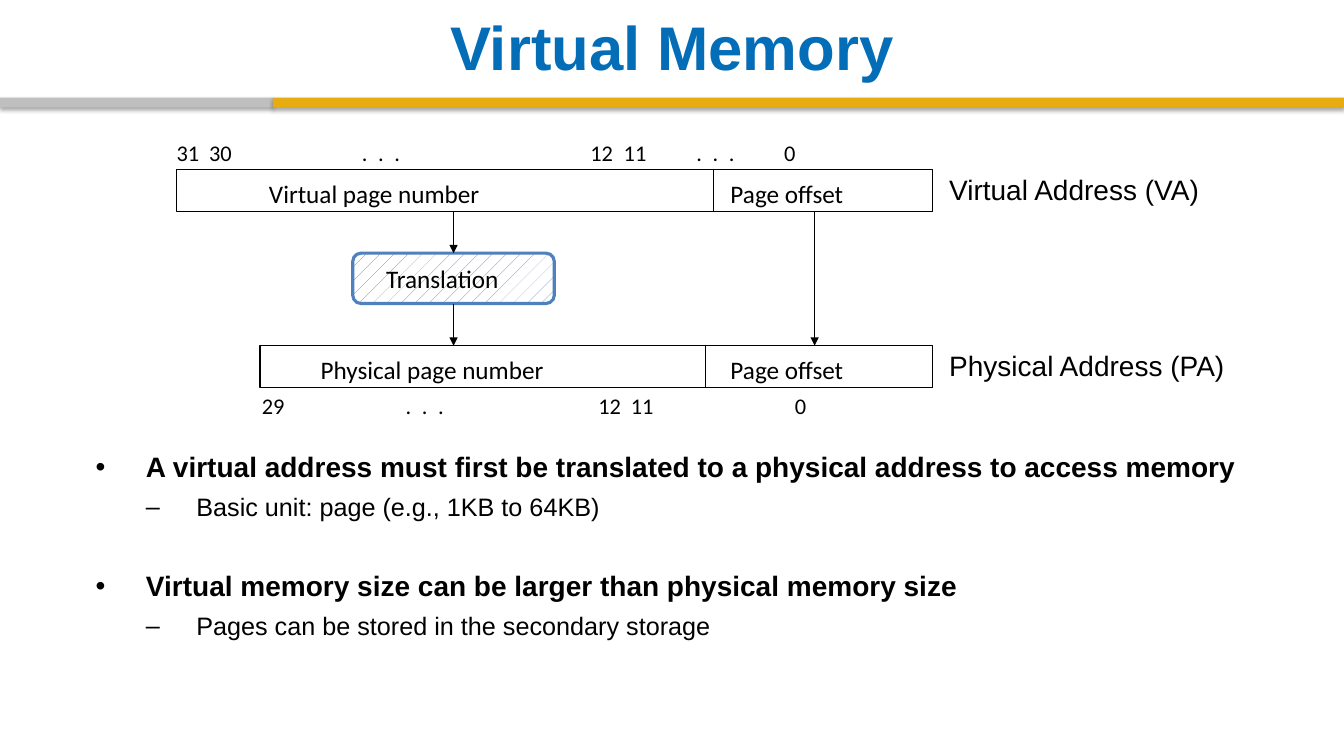
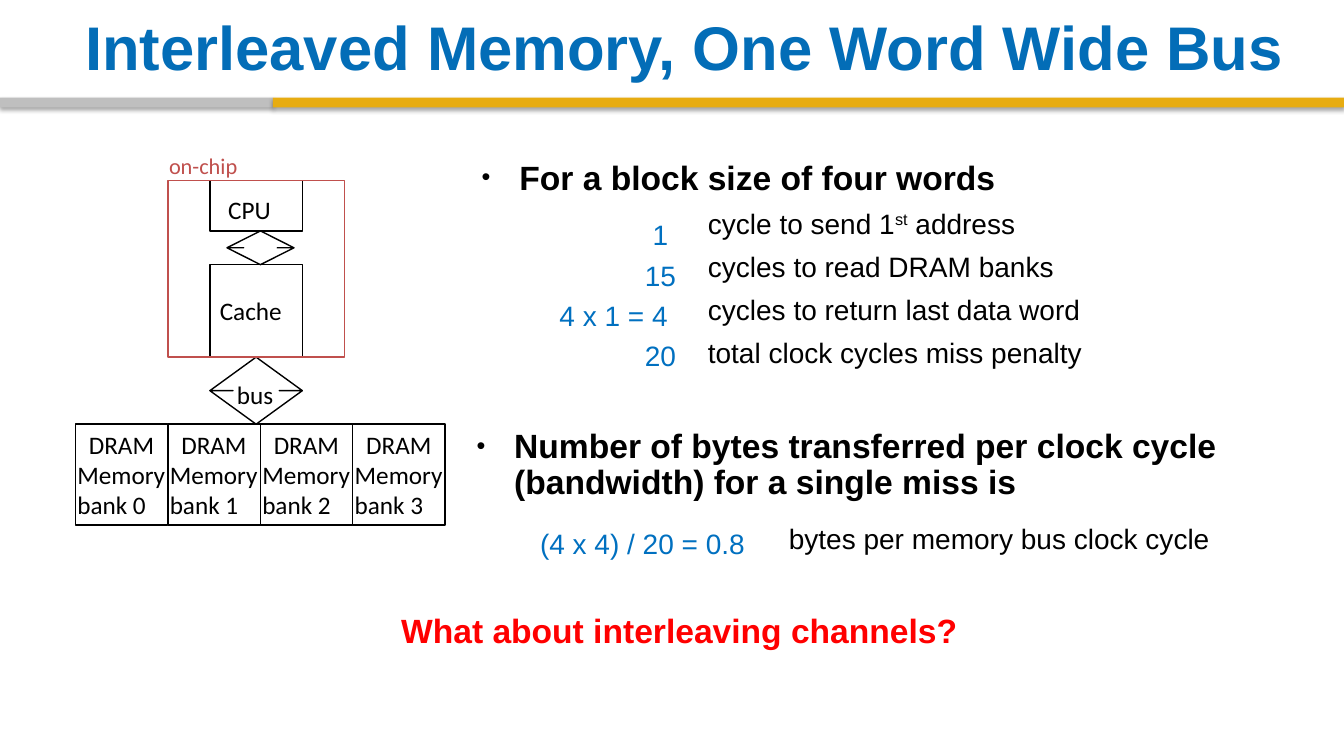
"""Build two lecture slides on virtual memory and interleaved memory."""
from lxml import etree
from pptx import Presentation
from pptx.dml.color import RGBColor
from pptx.enum.dml import MSO_PATTERN
from pptx.enum.shapes import MSO_CONNECTOR, MSO_SHAPE
from pptx.enum.text import MSO_ANCHOR, PP_ALIGN
from pptx.oxml.ns import qn
from pptx.util import Cm, Pt

RECTANGLE = MSO_SHAPE.RECTANGLE
ROUNDED = MSO_SHAPE.FLOWCHART_ALTERNATE_PROCESS
DOUBLE_ARROW = MSO_SHAPE.UP_DOWN_ARROW
STRAIGHT = MSO_CONNECTOR.STRAIGHT
DOTTED = MSO_PATTERN.PERCENT_5
MIDDLE = MSO_ANCHOR.MIDDLE
LEFT, CENTER = PP_ALIGN.LEFT, PP_ALIGN.CENTER

COLORS = {
    "title": "036DB7",
    "gold": "E7AC11",
    "grey": "BFBFBF",
    "text": "000000",
    "number": "0070C0",
    "question": "FF0000",
    "chip": "C0504D",
    "box": "4F81BD",
    "paper": "FFFFFF",
}


def color(name):
    return RGBColor.from_string(COLORS[name])


def add_xml(parent, tag, **attributes):
    return etree.SubElement(parent, qn(tag), attributes)


def style(para, size, name="text", font="Arial", bold=False):
    for span in para.runs:
        span.font.size = Pt(size)
        span.font.name = font
        span.font.bold = bold
        span.font.color.rgb = color(name)


def indent(para, left, hanging=0.0, bullet=None, percent=100):
    properties = para._p.get_or_add_pPr()
    properties.set("marL", str(Cm(left)))
    properties.set("indent", str(Cm(-hanging)))
    if bullet:
        bullet_color = add_xml(properties, "a:buClr")
        add_xml(bullet_color, "a:srgbClr", val=COLORS["text"])
        add_xml(properties, "a:buSzPct", val=str(percent * 1000))
        add_xml(properties, "a:buFont", typeface="Arial")
        add_xml(properties, "a:buChar", char=bullet)


def space(para, before=0.0, lines=1.0):
    para.space_before = Pt(before)
    para.line_spacing = lines


def set_insets(frame, left, top, right=0.0, bottom=0.0):
    frame.margin_left, frame.margin_top = Cm(left), Cm(top)
    frame.margin_right, frame.margin_bottom = Cm(right), Cm(bottom)


def add_text(page, left, top, width, height, text):
    box = page.shapes.add_textbox(Cm(left), Cm(top), Cm(width), Cm(height))
    frame = box.text_frame
    frame.word_wrap = True
    set_insets(frame, 0, 0)
    frame.text = text
    return frame


def add_label(page, left, top, width, text, size, name="text", font="Calibri", bold=False):
    frame = add_text(page, left, top, width, 1, text)
    style(frame.paragraphs[0], size, name, font, bold)
    return frame


def add_block(page, left, top, width, height, kind=RECTANGLE, line="text", weight=1):
    box = page.shapes.add_shape(kind, Cm(left), Cm(top), Cm(width), Cm(height))
    box.shadow.inherit = False
    box.fill.background()
    box.line.color.rgb = color(line)
    box.line.width = Pt(weight)
    return box


def write_in_block(box, text, left, top=0.0):
    frame = box.text_frame
    frame.word_wrap = True
    frame.vertical_anchor = MIDDLE
    set_insets(frame, left, top)
    frame.text = text
    for para in frame.paragraphs:
        para.alignment = LEFT
        style(para, 18, font="Calibri")


def add_line(page, left, top, bottom, arrow=False):
    line = page.shapes.add_connector(STRAIGHT, Cm(left), Cm(top), Cm(left), Cm(bottom))
    line.line.color.rgb = color("text")
    line.line.width = Pt(1)
    if arrow:
        add_xml(line.line._get_or_add_ln(), "a:tailEnd", type="triangle")
    add_xml(line._element.spPr, "a:effectLst")
    return line


def add_band(page, left, width, name):
    band = add_block(page, left, 2.46, width, 0.25)
    band.fill.solid()
    band.fill.fore_color.rgb = color(name)
    band.line.fill.background()
    effects = band._element.spPr.find(qn("a:effectLst"))
    shadow = add_xml(effects, "a:outerShdw", blurRad=str(Pt(3.1)),
                     dist=str(Pt(1.8)), dir="5400000", rotWithShape="0")
    shade = add_xml(shadow, "a:srgbClr", val=COLORS["text"])
    add_xml(shade, "a:alpha", val="35000")


def add_page(deck, title, width):
    page = deck.slides.add_slide(deck.slide_layouts[6])
    add_band(page, 0, 6.88, "grey")
    add_band(page, 6.88, 26.99, "gold")
    frame = add_text(page, 1.7, 0.2, width, 1.93, title)
    frame.vertical_anchor = MIDDLE
    frame.paragraphs[0].alignment = CENTER
    style(frame.paragraphs[0], 44, "title", bold=True)
    return page


def add_address(page, left, top, divider, number, number_left, caption):
    add_block(page, left, top, 23.5 - left, 1.06)
    add_line(page, divider, top, top + 1.06)
    add_label(page, number_left, top + 0.23, 7, number, 18)
    add_label(page, 18.41, top + 0.23, 4, "Page offset", 18)
    add_label(page, 23.92, top + 0.08, 8, caption, 20, font="Arial")


def dots(left):
    return [(".", left + 0.41 * step) for step in range(3)]


def add_bit_numbers(page, top, marks):
    start = marks[0][1]
    text = "\t".join(mark for mark, _ in marks)
    frame = add_text(page, start, top, 17, 0.7, text)
    para = frame.paragraphs[0]
    tabs = add_xml(para._p.get_or_add_pPr(), "a:tabLst")
    for _, left in marks[1:]:
        add_xml(tabs, "a:tab", pos=str(Cm(left - start)), algn="l")
    style(para, 16, font="Calibri")


def build_virtual_memory(deck):
    page = add_page(deck, "Virtual Memory", 30.48)
    add_address(page, 4.45, 4.27, 17.98, "Virtual page number", 6.78, "Virtual Address (VA)")
    add_address(page, 6.55, 8.71, 17.78, "Physical page number", 8.08, "Physical Address (PA)")
    add_bit_numbers(page, 3.51, [("31", 4.45), ("30", 5.27), *dots(9.12), ("12", 14.88),
                                 ("11", 15.72), *dots(17.55), ("0", 19.76)])
    add_bit_numbers(page, 9.88, [("29", 6.6), *dots(10.22), ("12", 15.08),
                                 ("11", 15.9), ("0", 20.03)])

    translation = add_block(page, 8.89, 6.38, 5.08, 1.27, ROUNDED, "box", 2.25)
    translation.fill.patterned()
    translation.fill.pattern = DOTTED
    translation.fill.fore_color.rgb = color("box")
    translation.fill.back_color.rgb = color("paper")
    write_in_block(translation, "Translation", 0.78)
    add_line(page, 11.43, 5.33, 6.38, arrow=True).end_connect(translation, 0)
    add_line(page, 11.43, 7.65, 8.71, arrow=True).begin_connect(translation, 2)
    add_line(page, 20.53, 5.33, 8.71, arrow=True)

    points = [
        ("A virtual address must first be translated to a physical address to access memory", 0, 0),
        ("Basic unit: page (e.g., 1KB to 64KB)", 1, 6),
        ("Virtual memory size can be larger than physical memory size", 0, 33.5),
        ("Pages can be stored in the secondary storage", 1, 6),
    ]
    frame = add_text(page, 2.41, 11.33, 29.97, 6, "\n".join(point[0] for point in points))
    for para, (_, level, before) in zip(frame.paragraphs, points):
        para.level = level
        indent(para, 1.27 * (level + 1), 1.27, "•–"[level])
        space(para, before)
        style(para, 20 - 2 * level, bold=level == 0)


def add_double_arrow(page, left, top, width, height):
    arrow = add_block(page, left, top, width, height, DOUBLE_ARROW)
    arrow.adjustments[0], arrow.adjustments[1] = 0.2, 0.5


def add_memory_diagram(page):
    write_in_block(add_block(page, 5.29, 4.55, 2.33, 1.27), "CPU", 0.46, 0.2)
    add_double_arrow(page, 5.72, 5.82, 1.69, 0.85)
    write_in_block(add_block(page, 5.29, 6.67, 2.33, 2.33), "Cache", 0.25)
    add_double_arrow(page, 5.29, 9, 2.33, 1.69)
    add_label(page, 5.97, 9.55, 1.5, "bus", 18)
    add_block(page, 4.23, 4.55, 4.45, 4.45, line="chip")
    add_label(page, 4.26, 3.84, 3, "on-chip", 16, "chip")
    for number in range(4):
        bank = add_block(page, 1.9 + 2.33 * number, 10.69, 2.33, 2.54)
        write_in_block(bank, f"DRAM\nMemory\nbank {number}", 0.05)
        indent(bank.text_frame.paragraphs[0], 0.29)


def add_point(page, left, top, width, point, details, detail_left, before):
    frame = add_text(page, left, top, width, 4, "\n".join([point, *details]))
    heading, *rows = frame.paragraphs
    indent(heading, 0.95, 0.95, "•", 75)
    space(heading, lines=0.9)
    style(heading, 24, bold=True)
    for row in rows:
        row.level = 1
        indent(row, detail_left)
        space(row, before, 0.95)
        style(row, 20)
    return rows


def build_interleaved_memory(deck):
    page = add_page(deck, "Interleaved Memory, One Word Wide Bus", 31.12)
    add_memory_diagram(page)

    rows = add_point(page, 12.14, 4.06, 17.86, "For a block size of four words",
                     ["cycle to send 1", "cycles to read DRAM banks",
                      "cycles to return last data word", "total clock cycles miss penalty"],
                     5.7, 8)
    ordinal, ending = rows[0].add_run(), rows[0].add_run()
    ordinal.text, ending.text = "st", " address"
    style(rows[0], 20)
    ordinal._r.get_or_add_rPr().set("baseline", "30000")

    counts = [("1", 4.51), ("15", 4.31), ("4 x 1 = 4", 2.16), ("20", 4.31)]
    frame = add_text(page, 11.94, 5.49, 5.4, 4, "\n".join(count for count, _ in counts))
    for position, (para, (_, left)) in enumerate(zip(frame.paragraphs, counts)):
        indent(para, left)
        space(para, 4.8 if position else 0)
        style(para, 20, "number")

    add_point(page, 12.01, 10.82, 19.99,
              "Number of bytes transferred per clock cycle (bandwidth) for a single miss is",
              ["bytes per memory bus clock cycle"], 7.87, 15.5)
    result = add_label(page, 13.61, 13.34, 6, "(4 x 4) / 20 = 0.8", 20, "number", "Arial")
    question = add_label(page, 10.11, 15.44, 16, "What about interleaving channels?", 24,
                         "question", "Arial", True)
    for frame in (result, question):
        space(frame.paragraphs[0], lines=0.95)


def main():
    deck = Presentation()
    deck.slide_width, deck.slide_height = Cm(33.87), Cm(19.05)
    build_virtual_memory(deck)
    build_interleaved_memory(deck)
    deck.save("out.pptx")


if __name__ == "__main__":
    main()
